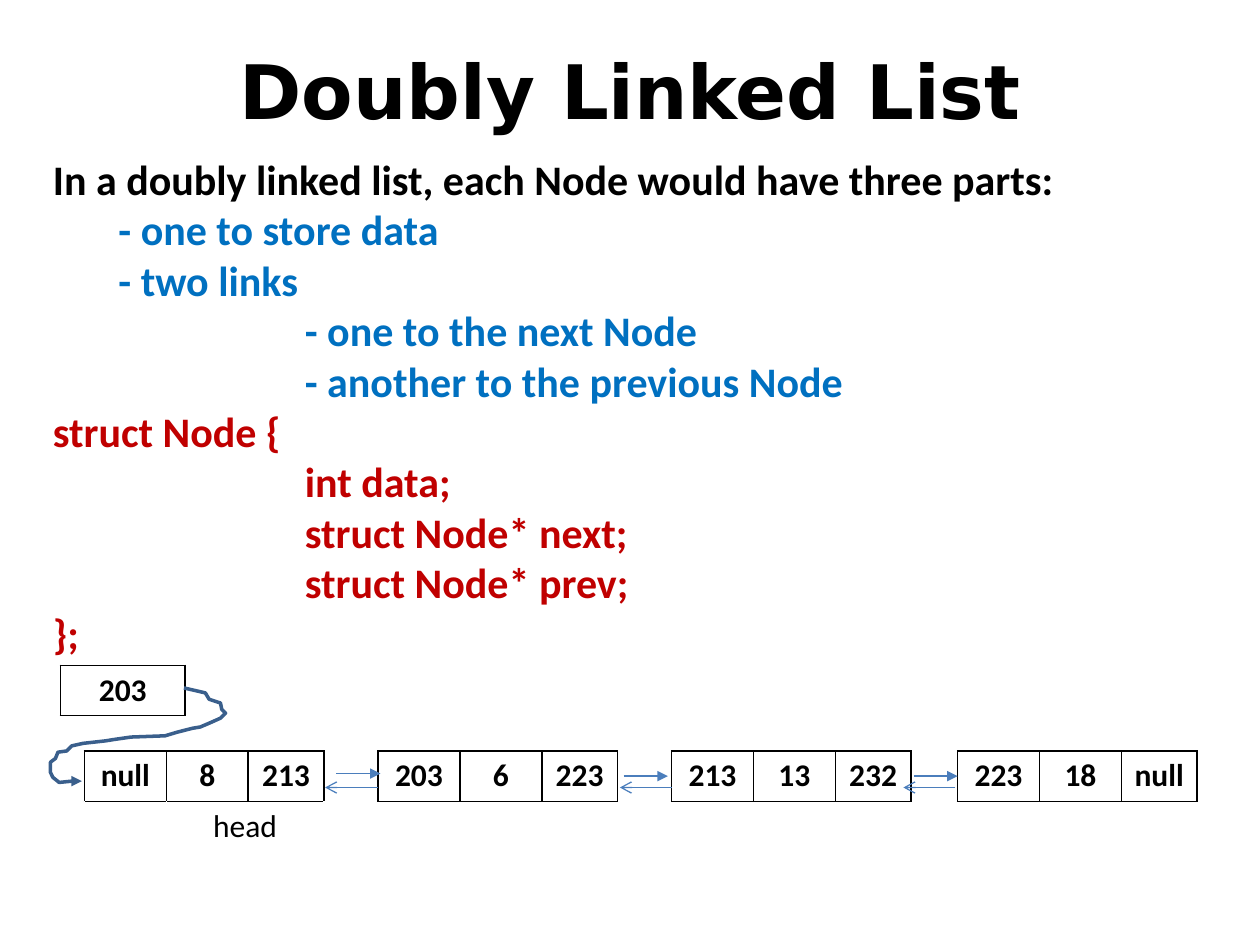
from lxml import etree
from pptx import Presentation
from pptx.dml.color import RGBColor
from pptx.enum.shapes import MSO_CONNECTOR
from pptx.enum.text import MSO_ANCHOR, PP_ALIGN
from pptx.oxml import parse_xml
from pptx.oxml.ns import nsdecls, qn
from pptx.util import Inches, Pt

STRAIGHT = MSO_CONNECTOR.STRAIGHT
MIDDLE = MSO_ANCHOR.MIDDLE
LEFT, CENTER = PP_ALIGN.LEFT, PP_ALIGN.CENTER
BLACK, BLUE, RED = "000000", "0070C0", "C00000"
ARROW_BLUE, CURVE_BLUE = "4B7EBC", "3A5F8C"
ROW_H = 0.4
NODE_COLS = [0.65, 0.65, 0.6]


def add_text(tf, text, size=18, font="Calibri", color=BLACK, bold=True,
             align=CENTER, indent=0, spacing=None):
    """Fill the empty first paragraph of tf, or add a new one after it."""
    p = tf.paragraphs[0] if not tf.text else tf.add_paragraph()
    p.alignment = align
    p.line_spacing = spacing
    p._p.get_or_add_pPr().set("marL", str(Inches(indent)))
    r = p.add_run()
    r.text = text
    r.font.size, r.font.name, r.font.bold = Pt(size), font, bold
    r.font.color.rgb = RGBColor.from_string(color)


def style_line(s, color, width, head):
    """Colour a line and put an arrowhead at its end."""
    s.line.color.rgb = RGBColor.from_string(color)
    s.line.width = Pt(width)
    etree.SubElement(s.line._get_or_add_ln(), qn("a:tailEnd"), type=head)


prs = Presentation()
prs.slide_width, prs.slide_height = Inches(10), Inches(7.5)
slide = prs.slides.add_slide(prs.slide_layouts[6])

# Title
title = slide.shapes.add_textbox(Inches(0.5), Inches(0.3), Inches(9), Inches(1.25))
title.text_frame.word_wrap = True
add_text(title.text_frame, "Doubly Linked List", size=42.9, font="DejaVu Sans")

# Explanation and struct definition
body = slide.shapes.add_textbox(Inches(0.16), Inches(1.17), Inches(9.58), Inches(4.14))
tf = body.text_frame
tf.word_wrap = True
tf.margin_left = tf.margin_right = 0
lines = [
    ("In a doubly linked list, each Node would have three parts:", BLACK, 0.26),
    ("- one to store data", BLUE, 0.78),
    ("- two links", BLUE, 0.78),
    ("- one to the next Node", BLUE, 2.26),
    ("- another to the previous Node", BLUE, 2.26),
    ("struct Node {", RED, 0.26),
    ("int data;", RED, 2.26),
    ("struct Node* next;", RED, 2.26),
    ("struct Node* prev;", RED, 2.26),
    ("};", RED, 0.26),
]
for text, color, indent in lines:
    add_text(tf, text, size=24, color=color, align=LEFT, indent=indent, spacing=Pt(28.8))

# Nodes and head pointer; only the first row of a table is boxed
tables = [
    (0.67, 5.96, NODE_COLS, [["null", "8", "213"], ["", "head", ""]]),
    (3, 5.96, NODE_COLS, [["203", "6", "223"]]),
    (5.33, 5.96, NODE_COLS, [["213", "13", "232"]]),
    (7.6, 5.96, NODE_COLS, [["223", "18", "null"]]),
    (0.48, 5.28, [0.99], [["203"]]),
]
for x, y, widths, rows in tables:
    table = slide.shapes.add_table(
        len(rows), len(widths), Inches(x), Inches(y),
        Inches(sum(widths)), Inches(ROW_H * len(rows))).table
    table.first_row = table.horz_banding = False
    for column, width in zip(table.columns, widths):
        column.width = Inches(width)
    for i, row in enumerate(rows):
        table.rows[i].height = Inches(ROW_H)
        for j, text in enumerate(row):
            cell = table.cell(i, j)
            cell.vertical_anchor = MIDDLE
            cell.margin_left = cell.margin_right = Inches(0.05)
            cell.margin_top = cell.margin_bottom = Inches(0.04)
            for side in "LRTB" if i == 0 else "T":
                cell._tc.get_or_add_tcPr().append(parse_xml(
                    f'<a:ln{side} {nsdecls("a")} w="{Pt(1)}"><a:solidFill>'
                    f'<a:srgbClr val="{BLACK}"/></a:solidFill></a:ln{side}>'))
            cell.fill.background()
            if text:
                add_text(cell.text_frame, text, bold=text != "head")
    if len(rows) > 1:
        table.cell(1, 1).merge(table.cell(1, 2))

# Next links point right, previous links point left
links = [
    (2.67, 3.02, 6.14, "triangle"),
    (4.95, 5.3, 6.16, "triangle"),
    (7.25, 7.6, 6.16, "triangle"),
    (3, 2.58, 6.25, "arrow"),
    (5.33, 4.92, 6.25, "arrow"),
    (7.58, 7.17, 6.25, "arrow"),
]
for x1, x2, y, head in links:
    s = slide.shapes.add_connector(STRAIGHT, Inches(x1), Inches(y), Inches(x2), Inches(y))
    style_line(s, ARROW_BLUE, 0.75, head)
    etree.SubElement(s._element.spPr, qn("a:effectLst"))

# Hand-drawn curve from the head pointer to the first node
curve = [
    (1.46, 5.46), (1.59, 5.49), (1.63, 5.5), (1.66, 5.55), (1.75, 5.58),
    (1.76, 5.63), (1.79, 5.66), (1.75, 5.7), (1.66, 5.74), (1.59, 5.77),
    (1.53, 5.78), (1.41, 5.81), (1.31, 5.84), (1.04, 5.85), (0.9, 5.87),
    (0.84, 5.88), (0.66, 5.9), (0.57, 5.92), (0.53, 5.96), (0.46, 5.97),
    (0.44, 6.02), (0.4, 6.05), (0.4, 6.13), (0.42, 6.17), (0.47, 6.21),
    (0.57, 6.2), (0.65, 6.2),
]
points = [(Inches(x), Inches(y)) for x, y in curve]
builder = slide.shapes.build_freeform(*points[0])
builder.add_line_segments(points[1:], close=False)
s = builder.convert_to_shape()
s.shadow.inherit = False
s.fill.background()
style_line(s, CURVE_BLUE, 2, "triangle")

prs.save("out.pptx")
